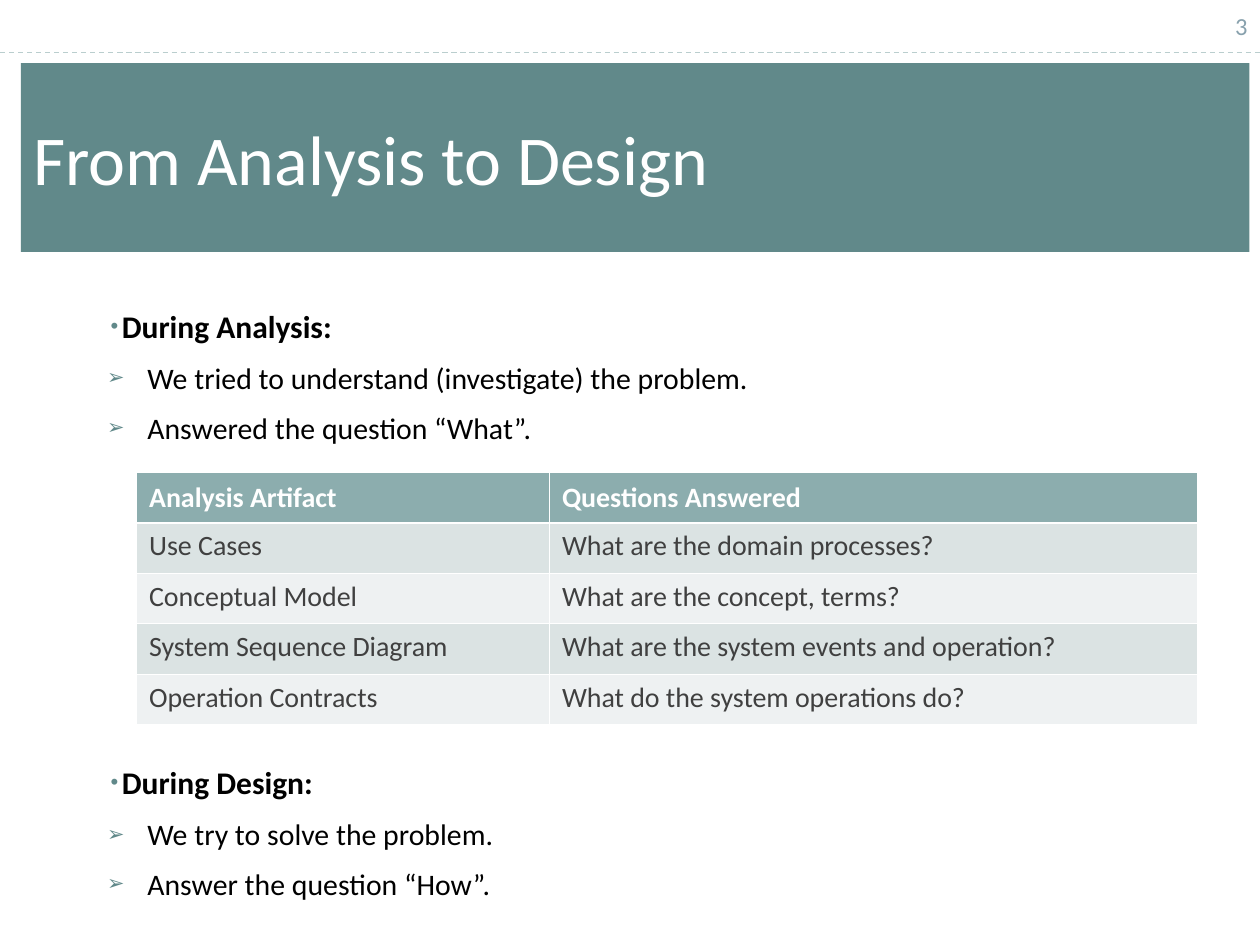
"""Build the slide "From Analysis to Design"."""
from lxml import etree
from pptx import Presentation
from pptx.dml.color import RGBColor
from pptx.enum.dml import MSO_LINE
from pptx.enum.shapes import MSO_CONNECTOR
from pptx.enum.text import MSO_ANCHOR, MSO_AUTO_SIZE, PP_ALIGN
from pptx.oxml import parse_xml
from pptx.oxml.ns import nsdecls, qn
from pptx.util import Pt

STRAIGHT = MSO_CONNECTOR.STRAIGHT
DASH = MSO_LINE.DASH
MIDDLE, TOP = MSO_ANCHOR.MIDDLE, MSO_ANCHOR.TOP
LEFT, RIGHT, JUSTIFY = PP_ALIGN.LEFT, PP_ALIGN.RIGHT, PP_ALIGN.JUSTIFY
NO_FIT = MSO_AUTO_SIZE.NONE

COLORS = {
    "white": "FFFFFF", "black": "000000", "teal": "61898A", "rule": "BACECE",
    "number": "88A1AD", "header": "8CADAE", "odd": "DBE3E3", "even": "EEF1F2",
    "cell": "404040",
}


def add_span(para, text, size, color, bold=False):
    span = para.add_run()
    span.text = text
    span.font.name = "Calibri"
    span.font.size = Pt(size)
    span.font.bold = bold
    span.font.color.rgb = RGBColor.from_string(COLORS[color])


def place(box, left, top, width, height, anchor):
    box.left, box.top, box.width, box.height = Pt(left), Pt(top), Pt(width), Pt(height)
    frame = box.text_frame
    frame.word_wrap = True
    frame.auto_size = NO_FIT
    frame.vertical_anchor = anchor
    return frame


deck = Presentation()
deck.slide_width, deck.slide_height = Pt(720), Pt(540)
page = deck.slides.add_slide(deck.slide_layouts[1])

rule = page.shapes.add_connector(STRAIGHT, Pt(0), Pt(30), Pt(720), Pt(30))
rule.line.color.rgb = RGBColor.from_string(COLORS["rule"])
rule.line.width = Pt(0.74)
rule.line.dash_style = DASH
etree.SubElement(rule._element.spPr, qn("a:effectLst"))

number_box = page.shapes.add_textbox(0, 0, 0, 0)
para = place(number_box, 552, 0, 168, 29, MIDDLE).paragraphs[0]
para.alignment = RIGHT
add_span(para, "3", 14, "number")

title = page.shapes.title
title.fill.solid()
title.fill.fore_color.rgb = RGBColor.from_string(COLORS["teal"])
para = place(title, 12, 36, 702, 108, MIDDLE).paragraphs[0]
para.alignment = LEFT
para.space_before = Pt(10)
add_span(para, "From Analysis to Design", 40, "white")

body_frame = place(page.placeholders[1], 18, 156, 684, 348, TOP)
body_frame.margin_top = Pt(17)
sections = [
    (0, "During Analysis:", [
        "We tried to understand (investigate) the problem.",
        "Answered the question “What”."]),
    (173.5, "During Design:", [
        "We try to solve the problem.",
        "Answer the question “How”."]),
]
lines = []
for gap, heading, points in sections:
    lines.append((heading, 0, 18, gap, 6.7, 44.4, -6.4, "•"))
    lines += [(point, 1, 17, 0, 6, 59, -23, "➢") for point in points]

for index, (text, level, size, before, after, margin, indent, bullet) in enumerate(lines):
    para = body_frame.add_paragraph() if index else body_frame.paragraphs[0]
    para.level = level
    para.alignment = JUSTIFY
    para.line_spacing = 1.1
    para.space_before, para.space_after = Pt(before), Pt(after)
    add_span(para, text, size, "black", level == 0)
    props = para._p.get_or_add_pPr()
    props.set("marL", str(Pt(margin)))
    props.set("indent", str(Pt(indent)))
    bullet_color = etree.SubElement(props, qn("a:buClr"))
    etree.SubElement(bullet_color, qn("a:srgbClr"), val=COLORS["teal"])
    etree.SubElement(props, qn("a:buSzPct"), val="70000")
    etree.SubElement(props, qn("a:buChar"), char=bullet)

rows = [
    ("Analysis Artifact", "Questions Answered"),
    ("Use Cases", "What are the domain processes?"),
    ("Conceptual Model", "What are the concept, terms?"),
    ("System Sequence Diagram", "What are the system events and operation?"),
    ("Operation Contracts", "What do the system operations do?"),
]
table = page.shapes.add_table(len(rows), 2, Pt(78), Pt(270), Pt(606), Pt(144)).table
table.columns[0].width, table.columns[1].width = Pt(236), Pt(370)
for row_index, row in enumerate(rows):
    is_header = row_index == 0
    fill = "header" if is_header else "odd" if row_index % 2 else "even"
    edges = {"lnL": 0.45, "lnR": 0.45,
             "lnT": 1.47 if row_index == 1 else 0.45,
             "lnB": 1.47 if is_header else 0.45}
    for column_index, text in enumerate(row):
        cell = table.cell(row_index, column_index)
        cell.vertical_anchor = MIDDLE if is_header else TOP
        cell.margin_left = cell.margin_right = Pt(7.2)
        cell.margin_top = cell.margin_bottom = Pt(3.6)
        for edge, width in edges.items():
            cell._tc.get_or_add_tcPr().append(parse_xml(
                f'<a:{edge} {nsdecls("a")} w="{Pt(width)}"><a:solidFill>'
                f'<a:srgbClr val="{COLORS["white"]}"/></a:solidFill></a:{edge}>'))
        cell.fill.solid()
        cell.fill.fore_color.rgb = RGBColor.from_string(COLORS[fill])
        add_span(cell.text_frame.paragraphs[0], text, 16,
                 "white" if is_header else "cell", is_header)

deck.save("out.pptx")
